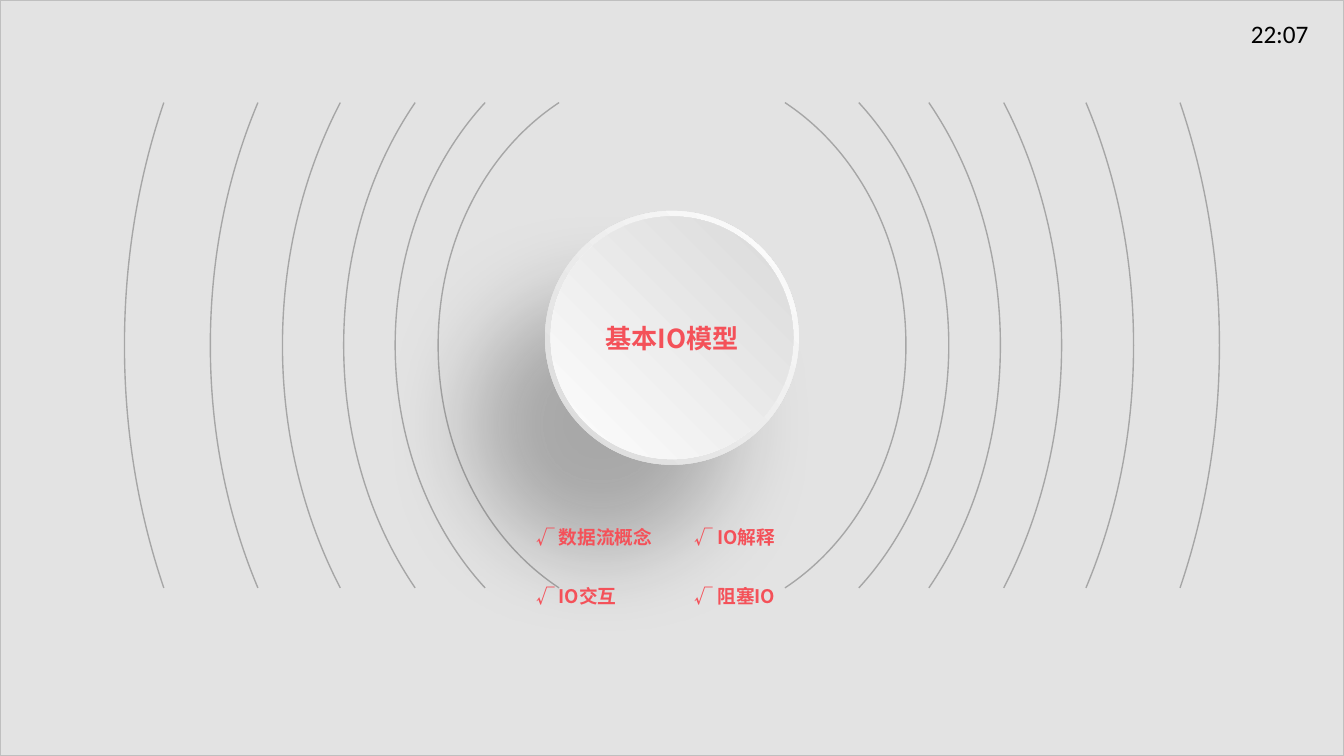
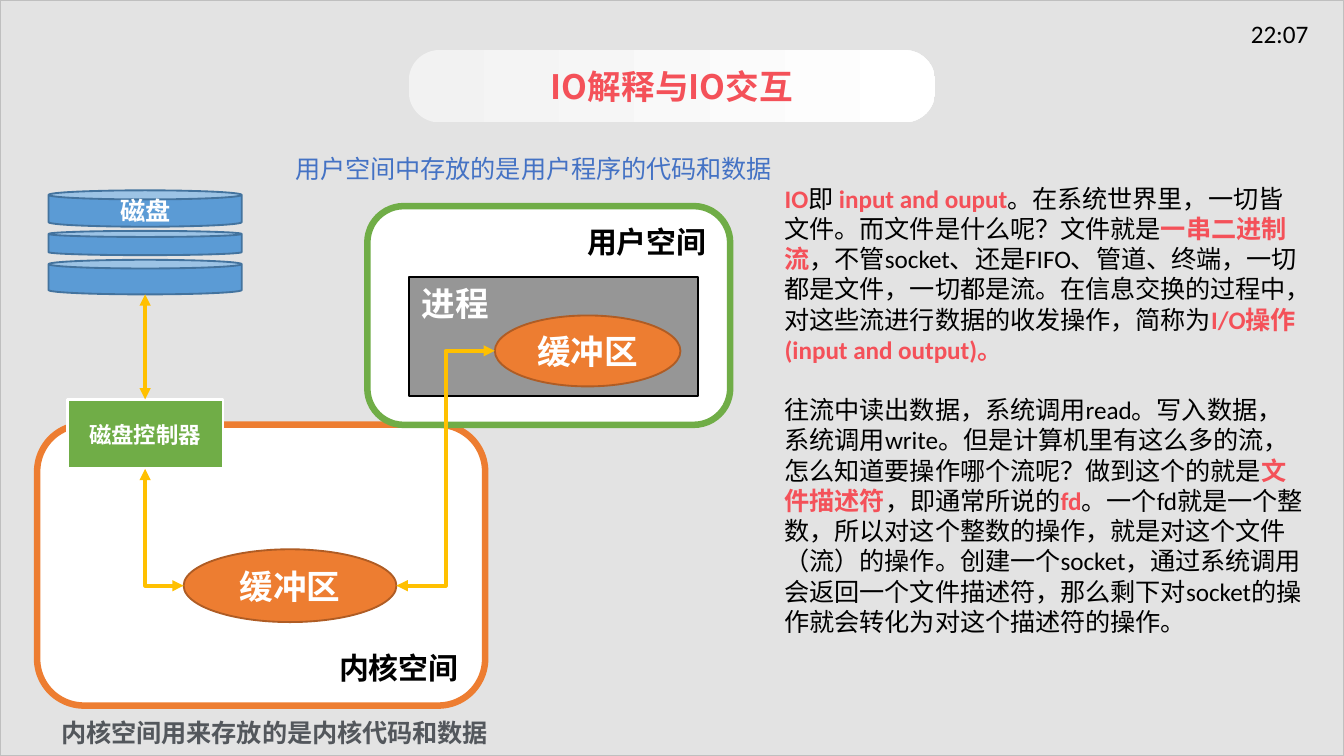
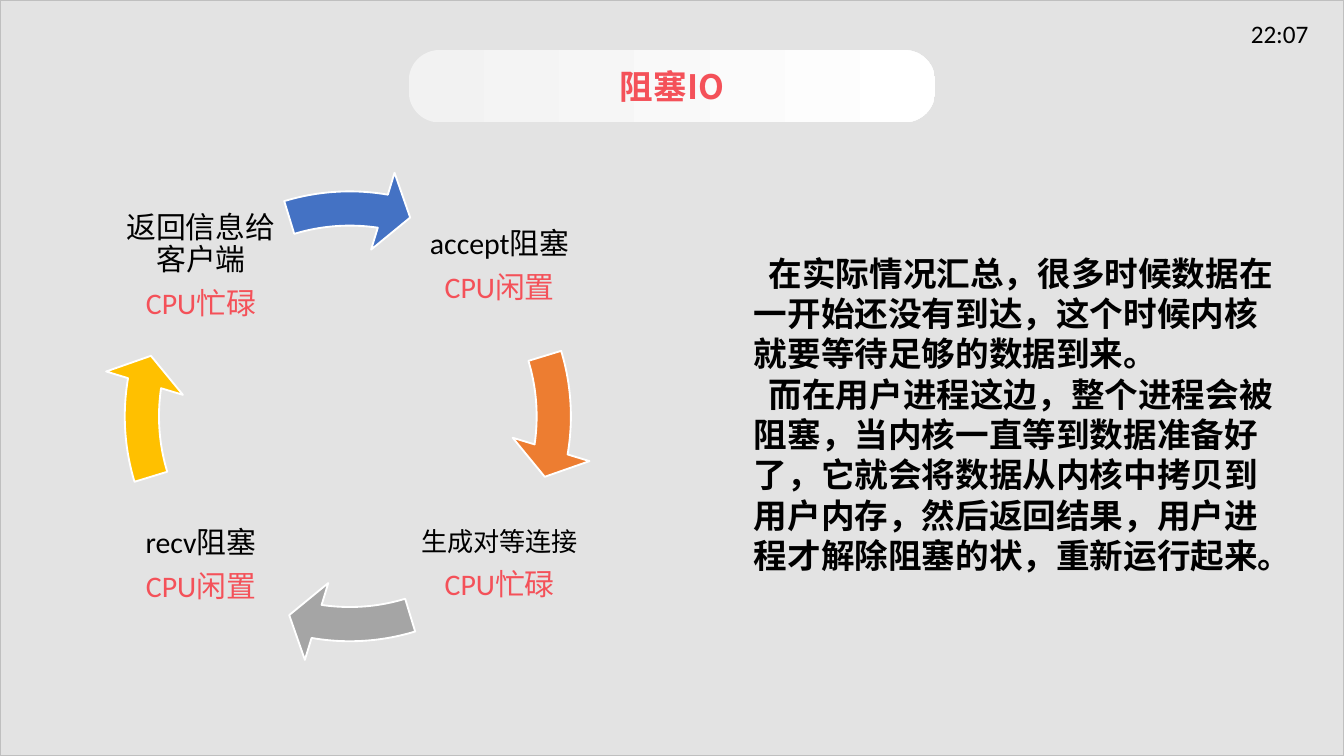
from dataclasses import dataclass
from typing import NamedTuple, Sequence

from lxml import etree
from pptx import Presentation
from pptx.dml.color import RGBColor
from pptx.enum.lang import MSO_LANGUAGE_ID
from pptx.enum.shapes import MSO_CONNECTOR, MSO_SHAPE
from pptx.enum.text import MSO_ANCHOR, PP_ALIGN
from pptx.oxml.ns import qn
from pptx.util import Pt

LEFT, CENTER, RIGHT = PP_ALIGN.LEFT, PP_ALIGN.CENTER, PP_ALIGN.RIGHT
TOP, MIDDLE, BOTTOM = MSO_ANCHOR.TOP, MSO_ANCHOR.MIDDLE, MSO_ANCHOR.BOTTOM
RECT, ROUND, OVAL = MSO_SHAPE.RECTANGLE, MSO_SHAPE.ROUNDED_RECTANGLE, MSO_SHAPE.OVAL
CAN, CIRCULAR_ARROW = MSO_SHAPE.CAN, MSO_SHAPE.CIRCULAR_ARROW
STRAIGHT, ELBOW = MSO_CONNECTOR.STRAIGHT, MSO_CONNECTOR.ELBOW
CHINESE = MSO_LANGUAGE_ID.SIMPLIFIED_CHINESE

PAGE_WIDTH, PAGE_HEIGHT = 720, 405


@dataclass(frozen=True)
class Theme:
    accent: str = "F45159"
    black: str = "000000"
    white: str = "FFFFFF"
    veil: str = "808080"
    border: str = "BFBFBF"
    ripple: str = "A6A6A6"
    shade: str = "D9D9D9"
    pale: str = "F2F2F2"
    disk: str = "5B9BD5"
    disk_edge: str = "43739E"
    orange: str = "ED7D31"
    orange_edge: str = "AF5C24"
    green: str = "70AD47"
    yellow: str = "FFC000"
    blue: str = "4472C4"
    gray: str = "A5A5A5"
    slate: str = "53575C"
    latin: str = "Calibri"
    chinese: str = "Noto Sans CJK SC"
    title: float = 18
    space_name: float = 16
    button: float = 14
    body: float = 13.5
    label: float = 12
    topic: float = 10


THEME = Theme()


class Frame(NamedTuple):
    left: float
    top: float
    width: float
    height: float


class Span(NamedTuple):
    text: str
    size: float = THEME.body
    color: str = THEME.black
    bold: bool = False
    font: str = THEME.latin


class Layout(NamedTuple):
    """Alignment, insets and paragraph spacing of one text body."""
    align: PP_ALIGN = LEFT
    anchor: MSO_ANCHOR = TOP
    inset_x: float = 7.2
    inset_y: float = 3.6
    gap: float = 0
    after: float = 0
    line: float = 1
    indent: float = 0


class Ripple(NamedTuple):
    """Half widths and heights of a curve, measured from its middle."""
    end: float
    control: float
    bulge: float
    control_height: float
    bulge_height: float


class Step(NamedTuple):
    column: int
    row: int
    name: str
    state: str
    size: float
    arrow_color: str
    arrow_left: float = 54.5


CENTERED = Layout(CENTER, MIDDLE)
RIPPLE_MIDDLE, RIPPLE_HEIGHT = 185, 130
RIPPLES = (
    Ripple(60.5, 99.4, 125.3, 104.4, 56.2),
    Ripple(100.1, 129.6, 148.3, 98, 51.1),
    Ripple(137.6, 162, 175.9, 94.3, 49),
    Ripple(177.7, 197.3, 208.7, 92.2, 47.5),
    Ripple(221.8, 238.3, 247.3, 90.7, 46.8),
    Ripple(272.2, 285.8, 293.3, 90, 46.1),
)
STEPS = (
    Step(1, 0, "accept阻塞", "CPU闲置", 16, THEME.orange, 52.5),
    Step(1, 1, "生成对等连接", "CPU忙碌", 14, THEME.gray),
    Step(0, 1, "recv阻塞", "CPU闲置", 16, THEME.yellow),
    Step(0, 0, "返回信息给客户端", "CPU忙碌", 16, THEME.blue),
)


def plain(text: str) -> Span:
    return Span(text)


def strong(text: str) -> Span:
    return Span(text, color=THEME.accent, bold=True)


def heading(text: str, size: float) -> Span:
    return Span(text, size, THEME.accent, True, THEME.chinese)


def rgb(color: str) -> RGBColor:
    return RGBColor.from_string(color)


def add_xml(parent, tag: str, **attributes):
    return etree.SubElement(parent, qn(tag), attributes)


def write(shape, paragraphs: Sequence[Sequence[Span]], layout: Layout) -> None:
    frame = shape.text_frame
    frame.word_wrap = True
    frame.vertical_anchor = layout.anchor
    frame.margin_left = frame.margin_right = Pt(layout.inset_x)
    frame.margin_top = frame.margin_bottom = Pt(layout.inset_y)
    for index, spans in enumerate(paragraphs):
        para = frame.add_paragraph() if index else frame.paragraphs[0]
        para.alignment = layout.align
        para.line_spacing = layout.line
        para.space_before = Pt(layout.gap if index else 0)
        para.space_after = Pt(layout.after)
        if layout.indent:
            para._p.get_or_add_pPr().set("indent", str(Pt(layout.indent)))
        for span in spans:
            run = para.add_run()
            run.text = span.text
            font = run.font
            font.name, font.size, font.bold = span.font, Pt(span.size), span.bold
            font.color.rgb = rgb(span.color)
            font.language_id = CHINESE
            add_xml(run._r.rPr, "a:ea", typeface=THEME.chinese)


def add_text(page, frame: Frame, paragraphs: Sequence[Sequence[Span]],
             layout: Layout = Layout()) -> None:
    box = page.shapes.add_textbox(*map(Pt, frame))
    write(box, paragraphs, layout)


def add_box(page, kind: MSO_SHAPE, frame: Frame, fill: str | None = None,
            edge: str | None = None, edge_width: float = 1,
            span: Span | None = None, layout: Layout = CENTERED,
            opacity: int = 100):
    box = page.shapes.add_shape(kind, *map(Pt, frame))
    box.shadow.inherit = False
    if fill:
        box.fill.solid()
        box.fill.fore_color.rgb = rgb(fill)
        if opacity < 100:
            color = box._element.spPr.find(qn("a:solidFill"))[0]
            add_xml(color, "a:alpha", val=str(opacity * 1000))
    if edge:
        box.line.color.rgb = rgb(edge)
        box.line.width = Pt(edge_width)
    else:
        box.line.fill.background()
    if span:
        write(box, [[span]], layout)
    return box


def fill_gradient(box, first: str, last: str, from_corner: bool = False) -> None:
    """Blend two colours left to right, or outward from the top right corner."""
    box.fill.gradient()
    for stop, color, position in zip(box.fill.gradient_stops, (first, last), (0, 1)):
        stop.color.rgb = rgb(color)
        stop.position = position
    if not from_corner:
        box.fill.gradient_angle = 0
        return
    gradient = box._element.spPr.find(qn("a:gradFill"))
    gradient.remove(gradient.find(qn("a:lin")))
    blend = add_xml(gradient, "a:path", path="circle")
    add_xml(blend, "a:fillToRect", l="100000", b="100000")


def add_arrow(page, kind: MSO_CONNECTOR, start: tuple, end: tuple):
    arrow = page.shapes.add_connector(kind, *map(Pt, (*start, *end)))
    arrow.line.color.rgb = rgb(THEME.yellow)
    arrow.line.width = Pt(2)
    outline = arrow.line._get_or_add_ln()
    add_xml(outline, "a:headEnd", type="triangle")
    add_xml(outline, "a:tailEnd", type="triangle")
    add_xml(arrow._element.spPr, "a:effectLst")
    return arrow


def add_corner_arrow(page, start: tuple, end: tuple) -> None:
    """Arrow going straight down, then right, as a quarter-turned elbow."""
    center_x, center_y = (start[0] + end[0]) / 2, (start[1] + end[1]) / 2
    half_across, half_down = (end[0] - start[0]) / 2, (end[1] - start[1]) / 2
    arrow = add_arrow(page, ELBOW, (center_x + half_down, center_y - half_across),
                      (center_x - half_down, center_y + half_across))
    properties = arrow._element.spPr
    properties.find(qn("a:xfrm")).set("rot", str(270 * 60000))
    properties.find(qn("a:prstGeom")).set("prst", "bentConnector2")


def add_page(deck, title: str | None = None):
    page = deck.slides.add_slide(deck.slide_layouts[6])
    add_box(page, RECT, Frame(0, 0, PAGE_WIDTH, PAGE_HEIGHT), THEME.veil,
            THEME.border, opacity=22)
    add_text(page, Frame(663, 6.5, 48.5, 20), [[plain("22:07")]])
    if title:
        band = add_box(page, ROUND, Frame(219, 26.8, 282, 38.8),
                       span=heading(title, THEME.title))
        band.adjustments[0] = 0.423
        fill_gradient(band, THEME.pale, THEME.white)
    return page


def add_ripple(page, ripple: Ripple) -> None:
    """Draw a pair of mirrored curves, each made of two cubic segments."""
    def half(side: int) -> list:
        offsets = (
            (ripple.end, RIPPLE_HEIGHT), (ripple.control, ripple.control_height),
            (ripple.bulge, ripple.bulge_height), (ripple.bulge, 0),
            (ripple.bulge, -ripple.bulge_height),
            (ripple.control, -ripple.control_height), (ripple.end, -RIPPLE_HEIGHT))
        return [(Pt(PAGE_WIDTH / 2 + side * x), Pt(RIPPLE_MIDDLE - side * y))
                for x, y in offsets]

    right, left = half(1), half(-1)
    builder = page.shapes.build_freeform(*right[0])
    builder.add_line_segments(right[1:], close=False)
    builder.move_to(*left[0])
    builder.add_line_segments(left[1:], close=False)
    curve = builder.convert_to_shape()
    segments = list(curve._element.iter(qn("a:lnTo")))
    for index in range(0, len(segments), 3):
        first, *others = segments[index:index + 3]
        cubic = etree.Element(qn("a:cubicBezTo"))
        first.addprevious(cubic)
        for segment in (first, *others):
            cubic.append(segment[0])
            segment.getparent().remove(segment)
    curve.fill.background()
    curve.line.color.rgb = rgb(THEME.ripple)
    curve.line.width = Pt(0.75)
    curve.shadow.inherit = False


def build_opening(deck) -> None:
    page = add_page(deck)
    for ripple in RIPPLES:
        add_ripple(page, ripple)

    rim = add_box(page, OVAL, Frame(292, 113, 136, 136))
    fill_gradient(rim, THEME.white, THEME.shade, from_corner=True)
    effects = rim._element.spPr.find(qn("a:effectLst"))
    shadow = add_xml(effects, "a:outerShdw", blurRad=str(Pt(50)), dist=str(Pt(60)),
                     dir=str(130 * 60000), algn="ctr", rotWithShape="0")
    shadow_color = add_xml(shadow, "a:srgbClr", val=THEME.black)
    add_xml(shadow_color, "a:alpha", val="25000")
    button = add_box(page, OVAL, Frame(295, 116, 130, 130),
                     span=heading("基本IO模型", THEME.button),
                     layout=Layout(CENTER, MIDDLE, inset_x=0))
    fill_gradient(button, THEME.shade, "FEFEFE", from_corner=True)

    topics = ("数据流概念", "IO解释", "IO交互", "阻塞IO")
    for index, topic in enumerate(topics):
        row, column = divmod(index, 2)
        add_text(page, Frame(282.2 + 85 * column, 279.4 + 31.5 * row, 80, 17.3),
                 [[heading(f"√ {topic}", THEME.topic)]],
                 Layout(inset_x=5, inset_y=2.2))


def build_interaction(deck) -> None:
    page = add_page(deck, "IO解释与IO交互")

    def white(text: str, size: float) -> Span:
        return Span(text, size, THEME.white, True)

    def space_name(text: str) -> Span:
        return Span(text, THEME.space_name, bold=True)

    disk_label = white("磁盘", THEME.body)
    for top, height, span in ((102, 19.5, disk_label), (123.7, 13, None),
                              (139.2, 18.5, None)):
        add_box(page, CAN, Frame(26, top, 103.5, height), THEME.disk,
                THEME.disk_edge, span=span)

    add_box(page, ROUND, Frame(19.9, 227.5, 240, 150.5), THEME.white, THEME.orange,
            3.5, space_name("内核空间"), Layout(RIGHT, BOTTOM))
    controller = add_box(page, RECT, Frame(36, 214, 83.5, 37.2), THEME.green,
                         THEME.white, 1.5, white("磁盘控制器", THEME.label))
    add_box(page, ROUND, Frame(196.8, 110.4, 194.4, 117.2), THEME.white,
            THEME.green, 3.5, space_name("用户空间"), Layout(RIGHT))
    add_box(page, RECT, Frame(219, 148.3, 155, 64), THEME.black, THEME.black,
            span=white("进程", THEME.title), layout=Layout(), opacity=41)
    for frame in (Frame(98.4, 294.3, 114, 39), Frame(265.1, 169, 99.4, 38)):
        add_box(page, OVAL, frame, THEME.orange, THEME.orange_edge,
                span=white("缓冲区", THEME.title))

    disk_arrow = add_arrow(page, STRAIGHT, (77.75, 214), (77.75, 157.7))
    disk_arrow.begin_connect(controller, 0)
    add_corner_arrow(page, (77.75, 251.2), (98.4, 313.8))
    add_arrow(page, ELBOW, (212.4, 313.8), (265.1, 188))

    add_text(page, Frame(413.3, 94.5, 291.8, 252.7), [
        [strong("IO"), plain("即 "), strong("input and ouput"),
         plain("。在系统世界里，一切皆文件。而文件是什么呢？文件就是"),
         strong("一串二进制流"),
         plain("，不管socket、还是FIFO、管道、终端，一切都是文件，一切都是流。"
               "在信息交换的过程中，对这些流进行数据的收发操作，简称为"),
         strong("I/O操作(input and output)。")],
        [plain("往流中读出数据，系统调用read。写入数据，系统调用write。"
               "但是计算机里有这么多的流，怎么知道要操作哪个流呢？做到这个的就是"),
         strong("文件描述符"), plain("，即通常所说的"), strong("fd"),
         plain("。一个fd就是一个整数，所以对这个整数的操作，就是对这个文件（流）的操作。"
               "创建一个socket，通过系统调用会返回一个文件描述符，"
               "那么剩下对socket的操作就会转化为对这个描述符的操作。")],
    ], Layout(gap=16.2))
    add_text(page, Frame(25.9, 381, 246.5, 23.8),
             [[Span("内核空间用来存放的是内核代码和数据", color=THEME.slate, bold=True)]])
    add_text(page, Frame(151.2, 78.4, 274, 23.8),
             [[Span("用户空间中存放的是用户程序的代码和数据", color=THEME.blue)]])


def build_blocking(deck) -> None:
    page = add_page(deck, "阻塞IO")
    story = (
        "在实际情况汇总，很多时候数据在一开始还没有到达，这个时候内核就要等待足够的数据到来。",
        "而在用户进程这边，整个进程会被阻塞，当内核一直等到数据准备好了，"
        "它就会将数据从内核中拷贝到用户内存，然后返回结果，用户进程才解除阻塞的状，重新运行起来。",
    )
    add_text(page, Frame(396.8, 131.8, 295.2, 181.4),
             [[Span(text, THEME.title, bold=True)] for text in story],
             Layout(indent=8))

    step_layout = Layout(CENTER, MIDDLE, 1.5, 1.5, after=6.3, line=0.9)
    quarter_turn, full_turn = 54, 216
    for index, step in enumerate(STEPS):
        add_text(page, Frame(60.5 + 160 * step.column, 95.8 + 160 * step.row, 94.3, 94.3),
                 [[Span(step.name, step.size)],
                  [Span(step.state, THEME.space_name, THEME.accent)]], step_layout)
        arrow = add_box(page, CIRCULAR_ARROW, Frame(step.arrow_left, 90.2, 265.7, 265.7),
                        step.arrow_color, THEME.white)
        turn = index * quarter_turn
        bends = (0.069, 4.652, 5.5 + turn, (205.848 + turn) % full_turn, 0.081)
        for position, bend in enumerate(bends):
            arrow.adjustments[position] = bend


def main() -> None:
    deck = Presentation()
    deck.slide_width, deck.slide_height = Pt(PAGE_WIDTH), Pt(PAGE_HEIGHT)
    build_opening(deck)
    build_interaction(deck)
    build_blocking(deck)
    deck.save("out.pptx")


if __name__ == "__main__":
    main()
